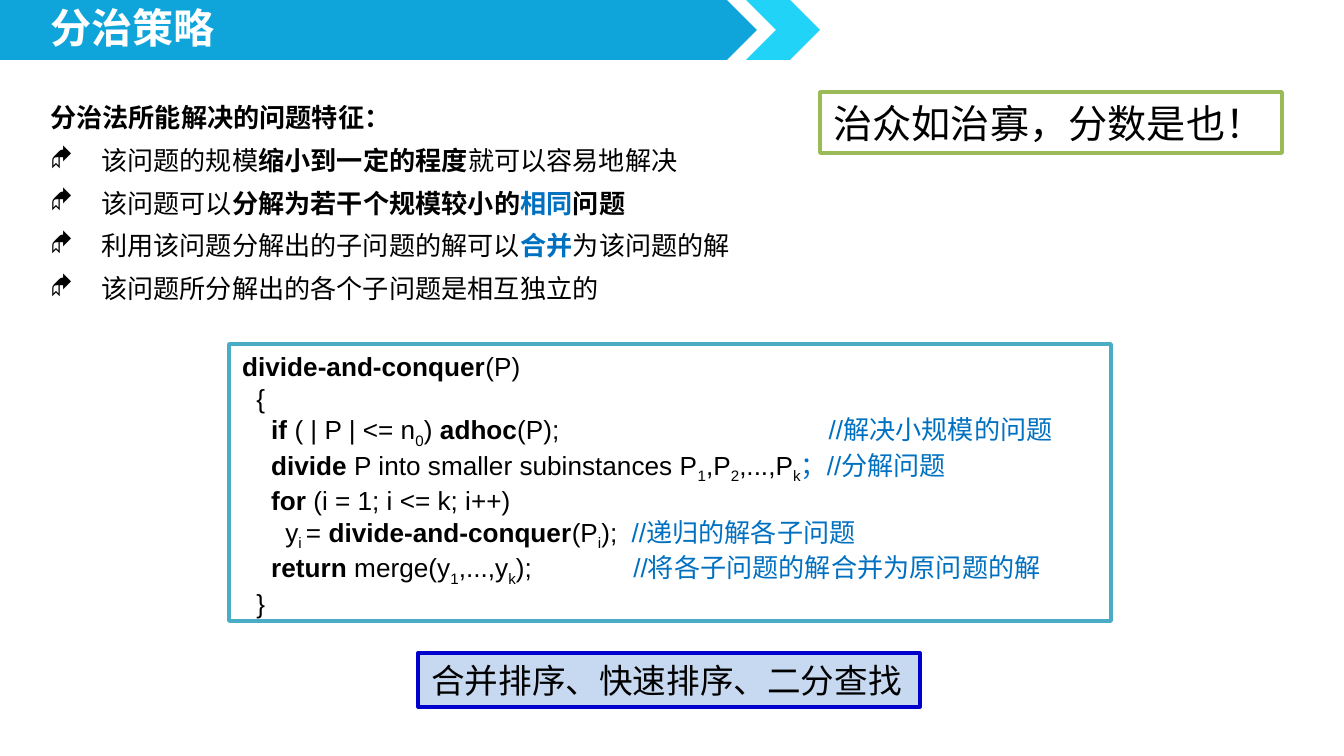
from lxml import etree
from pptx import Presentation
from pptx import util as u
from pptx.dml.color import RGBColor
from pptx.enum import shapes, text
from pptx.oxml.ns import qn

SCALE = 914400 / 134.4
NOTO, ARIAL = "Noto Sans CJK SC", "Arial"
BLACK, WHITE, BLUE = "000000", "FFFFFF", "0070C0"
STYLES = {
    "": {},
    "bold": {"bold": True},
    "blue": {"color": BLUE},
    "key": {"bold": True, "color": BLUE},
    "sub": {"baseline": -25000},
    "narrow gap": {"tracking": 7},
    "medium gap": {"tracking": 94},
    "wide gap": {"tracking": 262},
}


def px(length):
    return u.Emu(round(length * SCALE))


def color(value):
    return RGBColor.from_string(value)


def child(parent, tag, **attributes):
    return etree.SubElement(parent, qn(tag), attributes)


class Deck:
    """Draws styled elements on the current slide."""

    def __init__(self, width, height):
        self.presentation = Presentation()
        self.presentation.slide_width = px(width)
        self.presentation.slide_height = px(height)
        self.slide = self.presentation.slides.add_slide(self.presentation.slide_layouts[6])

    def shape(self, kind, box, fill, line=None, weight=2):
        shape = self.slide.shapes.add_shape(kind, *map(px, box))
        shape.shadow.inherit = False
        shape.fill.solid()
        shape.fill.fore_color.rgb = color(fill)
        if line:
            shape.line.color.rgb = color(line)
            shape.line.width = u.Pt(weight)
        else:
            shape.line.fill.background()
        return shape

    def textbox(self, box):
        return self.slide.shapes.add_textbox(*map(px, box))

    def frame(self, shape, wrap=False, anchor=text.MSO_ANCHOR.MIDDLE):
        frame = shape.text_frame
        frame.word_wrap = wrap
        frame.vertical_anchor = anchor
        return frame

    def run(self, paragraph, words, style, size, font, base):
        run = paragraph.add_run()
        run.text = words
        look = {"bold": False, "color": base, **STYLES[style]}
        values = {"size": u.Pt(size), "name": font, "bold": look["bold"]}
        for name, value in values.items():
            setattr(run.font, name, value)
        run.font.color.rgb = color(look["color"])
        properties = run._r.get_or_add_rPr()
        child(properties, "a:ea", typeface=font)
        if "baseline" in look:
            properties.set("baseline", str(look["baseline"]))
        if "tracking" in look:
            properties.set("spc", str(round(px(look["tracking"]).pt * 100)))

    def paragraph(self, frame, runs, size, font, base=BLACK, margin=0, indent=0,
                  bullet=None, **spacing):
        paragraph = frame.paragraphs[0]
        if paragraph.runs:
            paragraph = frame.add_paragraph()
        values = {"alignment": text.PP_ALIGN.LEFT, **spacing}
        for name, value in values.items():
            setattr(paragraph, name, value)
        properties = paragraph._p.get_or_add_pPr()
        properties.set("marL", str(px(margin)))
        properties.set("indent", str(px(indent)))
        if bullet:
            child(properties, "a:buFont", typeface="Wingdings")
            child(properties, "a:buChar", char=bullet)
        else:
            child(properties, "a:buNone")
        for words, style in runs:
            self.run(paragraph, words, style, size, font, base)


FEATURES = [
    [("该问题的规模", ""), ("缩小到一定的程度", "bold"), ("就可以容易地解决", "")],
    [("该问题可以", ""), ("分解为若干个规模较小的", "bold"), ("相同", "key"), ("问题", "bold")],
    [("利用该问题分解出的子问题的解可以", ""), ("合并", "key"), ("为该问题的解", "")],
    [("该问题所分解出的各个子问题是相互独立的", "")],
]
CODE = [
    (0, [("divide-and-conquer", "bold"), ("(P)", "")]),
    (1, [("{", "")]),
    (2, [("if", "bold"), (" ( | P | <= n", ""), ("0", "sub"), (") ", ""),
         ("adhoc", "bold"), ("(P);", ""), (" ", "wide gap"),
         ("//解决小规模的问题", "blue")]),
    (2, [("divide", "bold"), (" P into smaller subinstances P", ""), ("1", "sub"),
         (",P", ""), ("2", "sub"), (",...,P", ""), ("k", "sub"),
         ("；//分解问题", "blue")]),
    (2, [("for", "bold"), (" (i = 1; i <= k; i++)", "")]),
    (3, [("y", ""), ("i ", "sub"), ("= ", ""), ("divide-and-conquer", "bold"),
         ("(P", ""), ("i", "sub"), (");", ""), (" ", "narrow gap"),
         ("//递归的解各子问题", "blue")]),
    (2, [("return", "bold"), (" merge(y", ""), ("1", "sub"), (",...,y", ""),
         ("k", "sub"), (");", ""), (" ", "medium gap"),
         ("//将各子问题的解合并为原问题的解", "blue")]),
    (1, [("}", "")]),
]

deck = Deck(1344, 756)
kinds = shapes.MSO_SHAPE
deck.shape(kinds.PENTAGON, (0, 0, 757, 60), "10A5DA")
deck.shape(kinds.CHEVRON, (746, 0, 74, 60), "21D3F7")

title = deck.frame(deck.textbox((37, 5, 194, 54)))
deck.paragraph(title, [("分治策略", "bold")], 22, NOTO, WHITE, line_spacing=0.8)

features = deck.frame(deck.textbox((37, 89, 1153, 223)), True, text.MSO_ANCHOR.TOP)
hanging = {"margin": 51, "indent": -51, "line_spacing": 1.2, "space_before": px(5)}
deck.paragraph(features, [("分治法所能解决的问题特征：", "bold")], 14, NOTO, **hanging)
for runs in FEATURES:
    deck.paragraph(features, runs, 14, NOTO, bullet="◆", **hanging)

code_box = deck.shape(kinds.RECTANGLE, (229, 344, 882, 277), WHITE, "4BACC6")
code = deck.frame(code_box, True, text.MSO_ANCHOR.TOP)
for depth, runs in CODE:
    deck.paragraph(code, runs, 14, ARIAL, indent=depth * 29 // 2)

motto = deck.shape(kinds.RECTANGLE, (820, 92, 462, 61), WHITE, "9BBB59")
deck.paragraph(deck.frame(motto), [("治众如治寡，分数是也！", "")], 21, NOTO)

examples = deck.shape(kinds.RECTANGLE, (418, 653, 502, 54), "C6D9F1", "0000CC", 1.75)
deck.paragraph(deck.frame(examples), [("合并排序、快速排序、二分查找", "")], 18, ARIAL)

deck.presentation.save("out.pptx")
